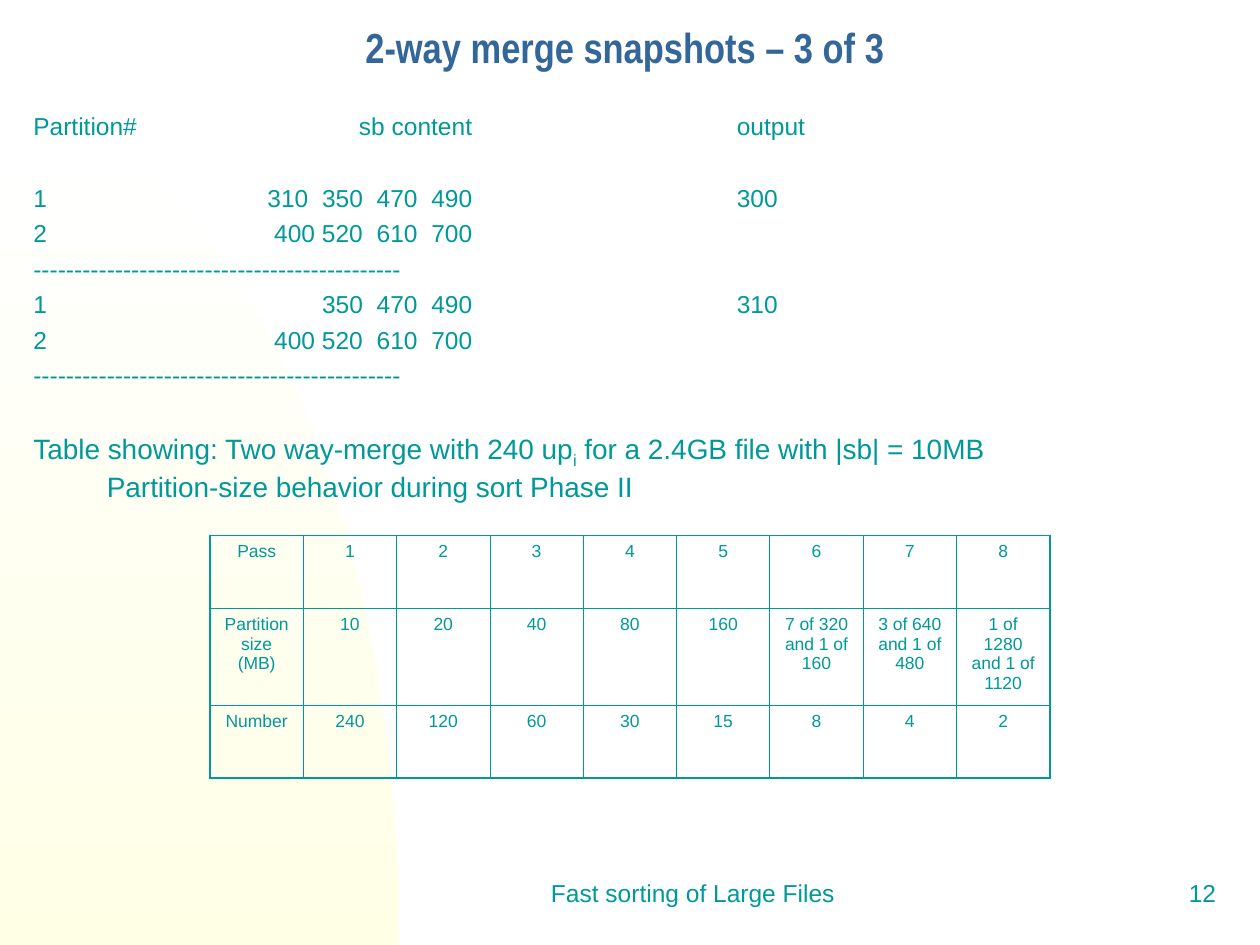
from dataclasses import dataclass
from typing import Any

from lxml.etree import SubElement
from pptx import Presentation
from pptx.dml.color import RGBColor
from pptx.enum.shapes import MSO_SHAPE
from pptx.enum.text import MSO_ANCHOR, MSO_AUTO_SIZE, PP_ALIGN
from pptx.oxml.ns import qn
from pptx.util import Pt

TEAL = RGBColor(0x00, 0x99, 0x99)
BLUE = RGBColor(0x33, 0x66, 0x99)
WHITE = RGBColor(0xFF, 0xFF, 0xFF)
CREAM = RGBColor(0xFF, 0xFF, 0xCC)

CONTENT_EDGE, VALUE_STEP, OUTPUT_LEFT = 250.8, 31.2, 402
RULE = "-" * 45
SNAPSHOTS = [
    ("Partition#", ["sb content"], "output", 0),
    ("1", ["310", "350", "470", "490"], "300", 24),
    ("2", ["400 520", "610", "700"], "", 3.5),
    (RULE, [], "", 3.5),
    ("1", ["350", "470", "490"], "310", 3.5),
    ("2", ["400 520", "610", "700"], "", 3.5),
    (RULE, [], "", 3.5),
]
CAPTION = [
    ("Table showing: Two way-merge with 240 up", False),
    ("i", True),
    (" for a 2.4GB file with |sb| = 10MB\vPartition-size behavior during sort Phase II", False),
]
PASSES = [
    ["Pass", "1", "2", "3", "4", "5", "6", "7", "8"],
    ["Partition size (MB)", "10", "20", "40", "80", "160",
     "7 of 320 and 1 of 160", "3 of 640 and 1 of 480", "1 of 1280 and 1 of 1120"],
    ["Number", "240", "120", "60", "30", "15", "8", "4", "2"],
]
ROW_HEIGHTS = [41.7, 55, 41.7]


@dataclass
class SlideWriter:
    """Draws the elements of one slide in a shared style."""

    slide: Any
    font: str = "Arial"
    color: RGBColor = TEAL
    thin: float = 0.45
    thick: float = 1.08

    def format(self, para, size, align=PP_ALIGN.LEFT):
        para.alignment = align
        for span in para.runs:
            span.font.name = self.font
            span.font.size = Pt(size)
            span.font.bold = False
            span.font.color.rgb = self.color

    def title(self, text, left, top, width, height):
        box = self.slide.shapes.title
        box.left, box.top, box.width, box.height = map(Pt, (left, top, width, height))
        frame = box.text_frame
        frame.text = text
        frame.auto_size = MSO_AUTO_SIZE.NONE
        frame.vertical_anchor = MSO_ANCHOR.MIDDLE
        para = frame.paragraphs[0]
        para.line_spacing = 0.7
        self.format(para, 24, PP_ALIGN.CENTER)
        font = para.runs[0].font
        font.name, font.bold, font.color.rgb = "Arial Narrow", True, BLUE

    def arc(self, left, top, width, height):
        shape = self.slide.shapes.add_shape(
            MSO_SHAPE.ARC, *map(Pt, (left, top, width, height)))
        shape.shadow.inherit = False
        shape.line.fill.background()
        shape.fill.gradient()
        shape.fill.gradient_angle = 270
        for stop, color in zip(shape.fill.gradient_stops, (WHITE, CREAM)):
            stop.color.rgb = color

    def text_box(self, left, top, width, height):
        box = self.slide.shapes.add_textbox(*map(Pt, (left, top, width, height)))
        box.text_frame.word_wrap = True
        return box.text_frame

    def label(self, text, left, top, width, height, align):
        frame = self.text_box(left, top, width, height)
        frame.text = text
        frame.vertical_anchor = MSO_ANCHOR.MIDDLE
        self.format(frame.paragraphs[0], 14, align)

    def snapshot(self, para, name, values, output, gap):
        para.text = "\t".join([name, *values] + ([output] if output else []))
        para.space_before = Pt(gap)
        last = len(values) - 1
        stops = [(CONTENT_EDGE - VALUE_STEP * (last - i), "r") for i in range(len(values))]
        if output:
            stops.append((OUTPUT_LEFT, "l"))
        if stops:
            tabs = SubElement(para._p.get_or_add_pPr(), qn("a:tabLst"))
            for position, side in stops:
                SubElement(tabs, qn("a:tab"), pos=str(Pt(position)), algn=side)
        self.format(para, 14)

    def caption(self, para, parts, gap, indent):
        para.space_before = Pt(gap)
        properties = para._p.get_or_add_pPr()
        properties.set("marL", str(Pt(indent)))
        properties.set("indent", str(Pt(-indent)))
        for text, is_subscript in parts:
            for index, line in enumerate(text.split("\v")):
                if index:
                    para.add_line_break()
                span = para.add_run()
                span.text = line
                if is_subscript:
                    span.font._element.set("baseline", "-25000")
        self.format(para, 16)

    def border(self, cell, side, width):
        line = SubElement(cell._tc.get_or_add_tcPr(), qn(f"a:ln{side}"), w=str(Pt(width)))
        fill = SubElement(line, qn("a:solidFill"))
        SubElement(fill, qn("a:srgbClr"), val=str(self.color))

    def table(self, rows, heights, left, top, width):
        row_count, column_count = len(rows), len(rows[0])
        frame = self.slide.shapes.add_table(
            row_count, column_count, Pt(left), Pt(top), Pt(width), Pt(sum(heights)))
        table = frame.table
        table.first_row = table.horz_banding = False
        for column in table.columns:
            column.width = Pt(width / column_count)
        for r, values in enumerate(rows):
            table.rows[r].height = Pt(heights[r])
            for c, value in enumerate(values):
                cell = table.cell(r, c)
                cell.text = value
                self.format(cell.text_frame.paragraphs[0], 10, PP_ALIGN.CENTER)
                outer = {"L": c == 0, "R": c == column_count - 1,
                         "T": r == 0, "B": r == row_count - 1}
                for side, is_outer in outer.items():
                    self.border(cell, side, self.thick if is_outer else self.thin)
                cell.fill.background()


def main():
    deck = Presentation()
    deck.slide_width, deck.slide_height = Pt(720), Pt(540)
    page = SlideWriter(deck.slides.add_slide(deck.slide_layouts[5]))
    page.arc(-228, 66, 456, 948)
    page.title("2-way merge snapshots – 3 of 3", 12, 12, 690, 36)
    body = page.text_box(12, 60, 690, 432)
    for index, row in enumerate(SNAPSHOTS):
        para = body.add_paragraph() if index else body.paragraphs[0]
        page.snapshot(para, *row)
    page.caption(body.add_paragraph(), CAPTION, 23.8, 42)
    page.table(PASSES, ROW_HEIGHTS, 120, 306, 480)
    page.label("Fast sorting of Large Files", 282, 492, 228, 36, PP_ALIGN.CENTER)
    page.label("12", 552, 492, 150, 36, PP_ALIGN.RIGHT)
    deck.save("out.pptx")


if __name__ == "__main__":
    main()
